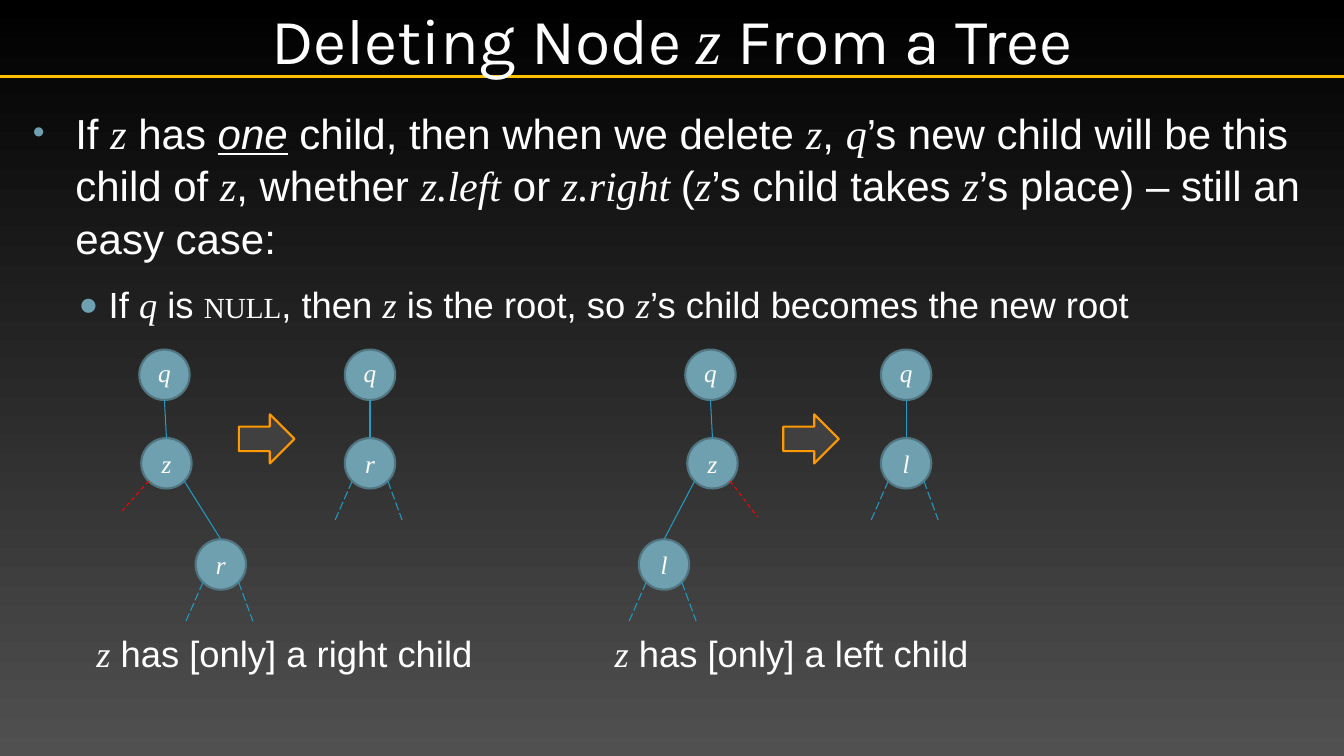
from lxml import etree
from pptx import Presentation
from pptx.dml.color import RGBColor
from pptx.enum.dml import MSO_LINE
from pptx.enum.shapes import MSO_CONNECTOR, MSO_SHAPE
from pptx.enum.text import MSO_ANCHOR, PP_ALIGN
from pptx.oxml.ns import qn
from pptx.util import Cm, Pt

# Content: runs are (text, style)
TITLE = [("Deleting Node ", "title"), ("z", "var"), (" From a Tree", "title")]
ONE_CHILD = [
    ("If ", "text"), ("z", "var"), (" has ", "text"), ("one", "stress"),
    (" child, then when we delete ", "text"), ("z", "var"), (", ", "text"), ("q", "var"),
    ("’s new child will be this child of ", "text"), ("z", "var"), (", whether ", "text"),
    ("z.left", "var"), (" or ", "text"), ("z.right ", "var"), ("(", "text"), ("z", "var"),
    ("’s child takes ", "text"), ("z", "var"), ("’s place) – still an easy case:", "text"),
]
ROOT_CASE = [
    ("If ", "text"), ("q", "var"), (" is ", "text"), ("null", "caps"), (", then ", "text"),
    ("z", "var"), (" is the root, so ", "text"), ("z", "var"),
    ("’s child becomes the new root", "text"),
]
BULLETS = [
    {"runs": ONE_CHILD, "size": 30, "char": "•", "scale": 80, "left": 1.17, "hang": 1.07},
    {"runs": ROOT_CASE, "size": 26, "char": "●", "scale": 90, "left": 2.01, "hang": 0.76},
]
CAPTIONS = [
    (2.18, [("z", "var"), (" has [only] a right child", "text")]),
    (15.24, [("z", "var"), (" has [only] a left child", "text")]),
]
# Trees: chain of (label, left in cm); side of z that holds the child, if z is there
TREES = [
    {"chain": [("q", 3.51), ("z", 3.56), ("r", 4.93)], "side": 1},
    {"chain": [("q", 8.69), ("r", 8.69)], "side": None},
    {"chain": [("q", 17.27), ("z", 17.32), ("l", 16.1)], "side": -1},
    {"chain": [("q", 22.2), ("l", 22.2)], "side": None},
]
ARROW_LEFTS = [6.02, 19.74]

COLORS = {"top": "000000", "bottom": "505050", "rule": "FFC000", "text": "FFFFFF",
          "node": "6EA0B0", "rim": "517682", "edge": "239BC2", "empty": "FF0000",
          "arrow": "404040", "arrow_rim": "FF9900"}
STYLES = {
    "title": {"name": "Karla"},
    "text": {"name": "Arial"},
    "var": {"name": "Times New Roman", "italic": True},
    "stress": {"name": "Arial", "italic": True, "underline": True},
    "caps": {"name": "Times New Roman"},
}

# Geometry in cm
NODE = 1.27
DIAGONAL = NODE / 2 * 0.5 ** 0.5
ROWS = [8.81, 11.04, 13.59]
STUBS = {-1: (-0.43, 0.98), 1: (0.36, 0.98)}
EMPTY_STUBS = {-1: (-0.66, 0.74), 1: (0.69, 0.91)}


def rgb(name):
    return RGBColor.from_string(COLORS[name])


def add_runs(p, runs, size):
    for text, style in runs:
        r = p.add_run()
        r.text = text
        r.font.size = Pt(size)
        r.font.color.rgb = rgb("text")
        for key, value in STYLES[style].items():
            setattr(r.font, key, value)
        if style == "caps":
            r.font._element.set("cap", "small")


def add_box(s, left, top, width, height):
    tf = s.shapes.add_textbox(Cm(left), Cm(top), Cm(width), Cm(height)).text_frame
    tf.word_wrap = True
    return tf


def add_bullet(p, item):
    pPr = p._p.get_or_add_pPr()
    pPr.set("marL", str(Cm(item["left"])))
    pPr.set("indent", str(-Cm(item["hang"])))
    color = etree.SubElement(pPr, qn("a:buClr"))
    etree.SubElement(color, qn("a:srgbClr"), val=COLORS["node"])
    etree.SubElement(pPr, qn("a:buSzPct"), val=str(item["scale"] * 1000))
    etree.SubElement(pPr, qn("a:buFont"), typeface="Arial")
    etree.SubElement(pPr, qn("a:buChar"), char=item["char"])


def add_line(s, start, end, color="edge", width=0.75, dash=None):
    points = [Cm(v) for v in (*start, *end)]
    line = s.shapes.add_connector(MSO_CONNECTOR.STRAIGHT, *points)
    line.line.color.rgb = rgb(color)
    line.line.width = Pt(width)
    if dash:
        line.line.dash_style = dash
    etree.SubElement(line._element.spPr, qn("a:effectLst"))


def add_figure(s, kind, left, top, width, height, fill, rim):
    sp = s.shapes.add_shape(kind, Cm(left), Cm(top), Cm(width), Cm(height))
    sp.shadow.inherit = False
    sp.fill.solid()
    sp.fill.fore_color.rgb = rgb(fill)
    sp.line.color.rgb = rgb(rim)
    sp.line.width = Pt(1.5)
    return sp


def add_node(s, label, left, top, anchor):
    sp = add_figure(s, MSO_SHAPE.OVAL, left, top, NODE, NODE, "node", "rim")
    tf = sp.text_frame
    frame = {"margin_left": 0, "margin_right": 0, "margin_top": 0, "margin_bottom": 0,
             "vertical_anchor": anchor}
    for key, value in frame.items():
        setattr(tf, key, value)
    p = tf.paragraphs[0]
    p.alignment = PP_ALIGN.CENTER
    add_runs(p, [(label, "var")], 18)


def add_stub(s, center, side, offsets, color, dash):
    x, y = center[0] + side * DIAGONAL, center[1] + DIAGONAL
    dx, dy = offsets[side]
    add_line(s, (x, y), (x + dx, y + dy), color, dash=dash)


def add_tree(s, chain, side):
    centers = [(left + NODE / 2, top + NODE / 2) for (_, left), top in zip(chain, ROWS)]
    for i, ((label, left), top) in enumerate(zip(chain, ROWS)):
        add_node(s, label, left, top, MSO_ANCHOR.MIDDLE if i else MSO_ANCHOR.TOP)
    # Root edge, then the edge from z to its only child
    (x0, y0), (x1, y1) = centers[:2]
    add_line(s, (x0, y0 + NODE / 2), (x1, y1 - NODE / 2))
    if side:
        x2, y2 = centers[2]
        add_line(s, (x1 + side * DIAGONAL, y1 + DIAGONAL), (x2, y2 - NODE / 2))
        add_stub(s, centers[1], -side, EMPTY_STUBS, "empty", MSO_LINE.DASH)
    for way in (-1, 1):
        add_stub(s, centers[-1], way, STUBS, "edge", MSO_LINE.LONG_DASH)


prs = Presentation()
prs.slide_width, prs.slide_height = Cm(33.87), Cm(19.05)
s = prs.slides.add_slide(prs.slide_layouts[6])

# Background
fill = s.background.fill
fill.gradient()
fill.gradient_angle = 270
for stop, position, name in zip(fill.gradient_stops, (0, 1), ("top", "bottom")):
    stop.position = position
    stop.color.rgb = rgb(name)

# Title
add_line(s, (0, 1.93), (33.87, 1.93), "rule", 2.5)
tf = add_box(s, 4.23, 0, 25.4, 1.93)
tf.vertical_anchor = MSO_ANCHOR.MIDDLE
tf.paragraphs[0].alignment = PP_ALIGN.CENTER
add_runs(tf.paragraphs[0], TITLE, 46)

# Bullets
tf = add_box(s, 0.48, 2.51, 33.02, 5.8)
for i, item in enumerate(BULLETS):
    p = tf.add_paragraph() if i else tf.paragraphs[0]
    p.level = i
    p.line_spacing = 1.05
    p.space_before = Pt(12)
    add_bullet(p, item)
    add_runs(p, item["runs"], item["size"])

# Trees before and after the deletion
for tree in TREES:
    add_tree(s, **tree)
for left in ARROW_LEFTS:
    add_figure(s, MSO_SHAPE.RIGHT_ARROW, left, 10.44, 1.4, 1.24, "arrow", "arrow_rim")

# Captions
for left, runs in CAPTIONS:
    add_runs(add_box(s, left, 15.77, 11, 1.3).paragraphs[0], runs, 26)

prs.save("out.pptx")
